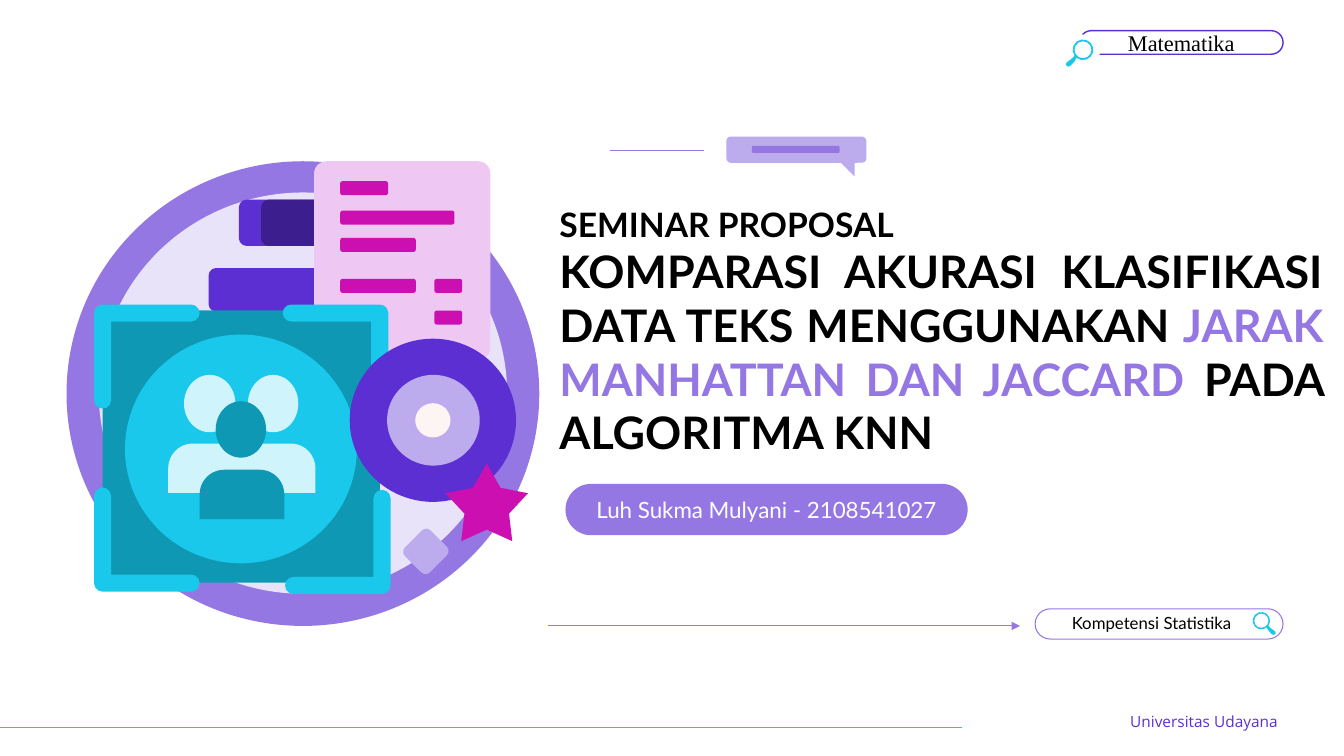
import math

from lxml import etree
from pptx import Presentation
from pptx.dml.color import RGBColor
from pptx.enum.shapes import MSO_CONNECTOR, MSO_SHAPE
from pptx.enum.text import MSO_ANCHOR, PP_ALIGN
from pptx.oxml.ns import qn
from pptx.util import Pt

WHITE = RGBColor(0xFF, 0xFF, 0xFF)
BLACK = RGBColor(0, 0, 0)
PURPLE = RGBColor(0x94, 0x77, 0xE2)
PALE = RGBColor(0xE9, 0xE3, 0xF9)
LILAC = RGBColor(0xBD, 0xAC, 0xED)
VIOLET = RGBColor(0x5C, 0x2F, 0xD2)
INDIGO = RGBColor(0x3C, 0x1E, 0x8E)
PINK = RGBColor(0xEF, 0xC7, 0xF3)
MAGENTA = RGBColor(0xCB, 0x0F, 0xB0)
TEAL = RGBColor(0x0F, 0x98, 0xB3)
CYAN = RGBColor(0x19, 0xC8, 0xEB)
ICE = RGBColor(0xD0, 0xF4, 0xFB)
CREAM = RGBColor(0xFD, 0xF4, 0xF4)

RECT, ROUND = MSO_SHAPE.RECTANGLE, MSO_SHAPE.ROUNDED_RECTANGLE
OVAL, STAR = MSO_SHAPE.OVAL, MSO_SHAPE.STAR_5_POINT
BUST, TRIANGLE = MSO_SHAPE.ROUND_2_SAME_RECTANGLE, MSO_SHAPE.RIGHT_TRIANGLE
STRAIGHT = MSO_CONNECTOR.STRAIGHT
MIDDLE, TOP = MSO_ANCHOR.MIDDLE, MSO_ANCHOR.TOP
LEFT, CENTER, RIGHT = PP_ALIGN.LEFT, PP_ALIGN.CENTER, PP_ALIGN.RIGHT
JUSTIFY = PP_ALIGN.JUSTIFY


def add_shape(shapes, kind, left, top, width, height, fill=None, adj=None, rot=0):
    sp = shapes.add_shape(kind, Pt(left), Pt(top), Pt(width), Pt(height))
    sp.shadow.inherit = False
    sp.line.fill.background()
    sp.rotation = rot
    if fill is None:
        sp.fill.background()
    else:
        sp.fill.solid()
        sp.fill.fore_color.rgb = fill
    if adj is not None:
        sp.adjustments[0] = adj
    return sp


def arc(cx, cy, radius, start, end):
    """Points along a circle, angles in degrees, y pointing down."""
    steps = math.ceil(abs(end - start) / 30)
    angles = [math.radians(start + (end - start) * i / steps) for i in range(steps + 1)]
    return [(cx + radius * math.cos(a), cy + radius * math.sin(a)) for a in angles]


prs = Presentation()
prs.slide_width, prs.slide_height = Pt(960), Pt(540)
s = prs.slides.add_slide(prs.slide_layouts[6])

# Illustration
art = s.shapes.add_group_shape().shapes
for shape in [
    (OVAL, 47.5, 115.2, 337.7, 331.9, PURPLE),
    (OVAL, 70.6, 137.5, 291.6, 286.6, PALE),
    (ROUND, 170.6, 142.6, 65.5, 33.1, VIOLET, 0.17),
    (ROUND, 149, 191.5, 87.1, 31, VIOLET, 0.17),
    (ROUND, 291.6, 380.9, 25.2, 25.9, LILAC, 0.17, 45),
    (ROUND, 186.5, 142.6, 49.7, 33.1, INDIGO, 0.17),
    (ROUND, 224.3, 115.2, 126, 141.8, PINK, 0.07),
]:
    add_shape(art, *shape)

for left, top, width in [
    (243, 129.4, 34.2), (243, 150.4, 81.6), (243, 169.9, 54),
    (243, 199.2, 54), (310.3, 199.2, 19.8), (310.3, 221.8, 19.8),
]:
    add_shape(art, ROUND, left, top, width, 10, MAGENTA, 0.17)

for shape in [
    (RECT, 73.4, 221.8, 198, 194.4, TEAL),
    (OVAL, 89.3, 239, 165.6, 163.4, CYAN),
    (BUST, 120.2, 316.8, 105.1, 35.3, ICE, 0.5),
    (BUST, 142.6, 335.5, 60.5, 35.3, TEAL, 0.5),
    (OVAL, 177.1, 267.8, 36, 41, ICE),
    (OVAL, 131.4, 267.8, 36.7, 41, ICE),
    (OVAL, 154.1, 286.6, 36, 40.3, TEAL),
]:
    add_shape(art, *shape)

# Frame brackets: one rounded L, mirrored into each corner
ARM_X, ARM_Y, THICK = 75.4, 74.4, 12.2
R = THICK / 2
bracket = (arc(R, R, R, 180, 270) + arc(ARM_X - R, R, R, -90, 90)
           + [(THICK, THICK)] + arc(R, ARM_Y - R, R, 0, 180))
for x, y, dx, dy in [(67.2, 217.5, 1, 1), (67.2, 422.6, 1, -1),
                     (277.4, 217.5, -1, 1), (279, 424.3, -1, -1)]:
    pts = [(Pt(x + dx * px), Pt(y + dy * py)) for px, py in bracket]
    builder = art.build_freeform(*pts[0])
    builder.add_line_segments(pts[1:])
    sp = builder.convert_to_shape()
    sp.shadow.inherit = False
    sp.fill.solid()
    sp.fill.fore_color.rgb = CYAN
    sp.line.fill.background()

for shape in [
    (OVAL, 249.8, 241.9, 118.8, 116.6, VIOLET),
    (OVAL, 276.5, 267.8, 66.2, 64.8, LILAC),
    (OVAL, 296.6, 288, 25.2, 24.5, CREAM),
    (STAR, 318.2, 331.2, 59, 55.4, MAGENTA, 0.27),
]:
    add_shape(art, *shape)

# Speech bubble
bubble = s.shapes.add_group_shape().shapes
add_shape(bubble, ROUND, 518.8, 97.6, 100.1, 18.7, LILAC, 0.17)
add_shape(bubble, ROUND, 537.1, 104.2, 62.6, 5, PURPLE, 0.17)
add_shape(bubble, TRIANGLE, 600.3, 115.9, 10.1, 10.1, LILAC, rot=180)

# Pills and text frames
author = add_shape(s.shapes, ROUND, 403.9, 345.6, 287.3, 36.7, PURPLE, 0.5)
subject = add_shape(s.shapes, ROUND, 771.1, 21.9, 145.4, 16.8, adj=0.5)
field_pill = add_shape(s.shapes, ROUND, 739.4, 434.9, 177.1, 21.6, adj=0.5)
for pill, colour, width in [(subject, VIOLET, 1), (field_pill, PURPLE, 0.75)]:
    pill.line.color.rgb = colour
    pill.line.width = Pt(width)
add_shape(s.shapes, OVAL, 758.2, 24.5, 27.4, 26.6, WHITE)

title = s.shapes.add_textbox(Pt(399.6), Pt(145.4), Pt(545.8), Pt(223.2))
university = s.shapes.add_textbox(Pt(728.6), Pt(508.5), Pt(184.3), Pt(13.7))
field = s.shapes.add_textbox(Pt(758.5), Pt(434.2), Pt(139), Pt(21.6))

title_runs = [
    ("KOMPARASI AKURASI KLASIFIKASI DATA TEKS MENGGUNAKAN ", 32, BLACK),
    ("JARAK MANHATTAN DAN JACCARD ", 32, PURPLE),
    ("PADA ALGORITMA KNN", 32, BLACK),
]
for sp, anchor, margins, font, bold, paragraphs in [
    (title, TOP, (0, 0), "Lato", True,
     [(LEFT, [("SEMINAR PROPOSAL", 24, BLACK)]), (JUSTIFY, title_runs)]),
    (author, MIDDLE, (7.2, 3.6), "Lato", False,
     [(CENTER, [("Luh Sukma Mulyani - 2108541027", 16, WHITE)])]),
    (subject, MIDDLE, (7.2, 3.6), "Times New Roman", False,
     [(CENTER, [("Matematika", 16, BLACK)])]),
    (university, MIDDLE, (0, 0), "Open Sans", False,
     [(RIGHT, [("Universitas Udayana", 11, VIOLET)])]),
    (field, TOP, (7.2, 3.6), "Lato", False,
     [(LEFT, [("Kompetensi Statistika", 12, BLACK)])]),
]:
    tf = sp.text_frame
    tf.word_wrap = True
    tf.vertical_anchor = anchor
    tf.margin_left = tf.margin_right = Pt(margins[0])
    tf.margin_top = tf.margin_bottom = Pt(margins[1])
    for i, (align, runs) in enumerate(paragraphs):
        p = tf.add_paragraph() if i else tf.paragraphs[0]
        p.alignment = align
        for text, size, colour in runs:
            r = p.add_run()
            r.text = text
            r.font.name = font
            r.font.size = Pt(size)
            r.font.bold = bold
            r.font.color.rgb = colour

# Magnifiers, in units of the lens radius
HANDLE = [(-0.82, 0.58), (-1.11, 0.87), (-1.59, 1.25), (-1.65, 1.4),
          (-1.59, 1.54), (-1.39, 1.63), (-1.2, 1.54), (-0.82, 1.15), (-0.72, 0.96)]
rim = arc(0, 0, 1, 129, -215) + HANDLE
lens = arc(0, 0, 0.82, 0, 360)
for cx, cy, radius, dx in [(773.6, 35.6, 7.4, 1), (901, 443.4, 6.2, -1)]:
    outer, inner = [
        [(Pt(cx + dx * radius * x), Pt(cy + radius * y)) for x, y in contour]
        for contour in (rim, lens)
    ]
    builder = s.shapes.build_freeform(*outer[0])
    builder.add_line_segments(outer[1:])
    builder.move_to(*inner[0])
    builder.add_line_segments(inner[1:])
    sp = builder.convert_to_shape()
    sp.shadow.inherit = False
    sp.fill.solid()
    sp.fill.fore_color.rgb = CYAN
    sp.line.fill.background()

# Rules and arrow
for x1, x2, y, colour, arrow in [
    (0, 686.9, 519.8, CYAN, False),
    (391.2, 728.6, 447.1, PURPLE, True),
    (435.6, 502.6, 107.7, PURPLE, False),
]:
    line = s.shapes.add_connector(STRAIGHT, Pt(x1), Pt(y), Pt(x2), Pt(y))
    line.line.color.rgb = colour
    line.line.width = Pt(0.75)
    props = line.element.spPr
    if arrow:
        etree.SubElement(props.find(qn("a:ln")), qn("a:tailEnd"), type="triangle")
    etree.SubElement(props, qn("a:effectLst"))

prs.save("out.pptx")
